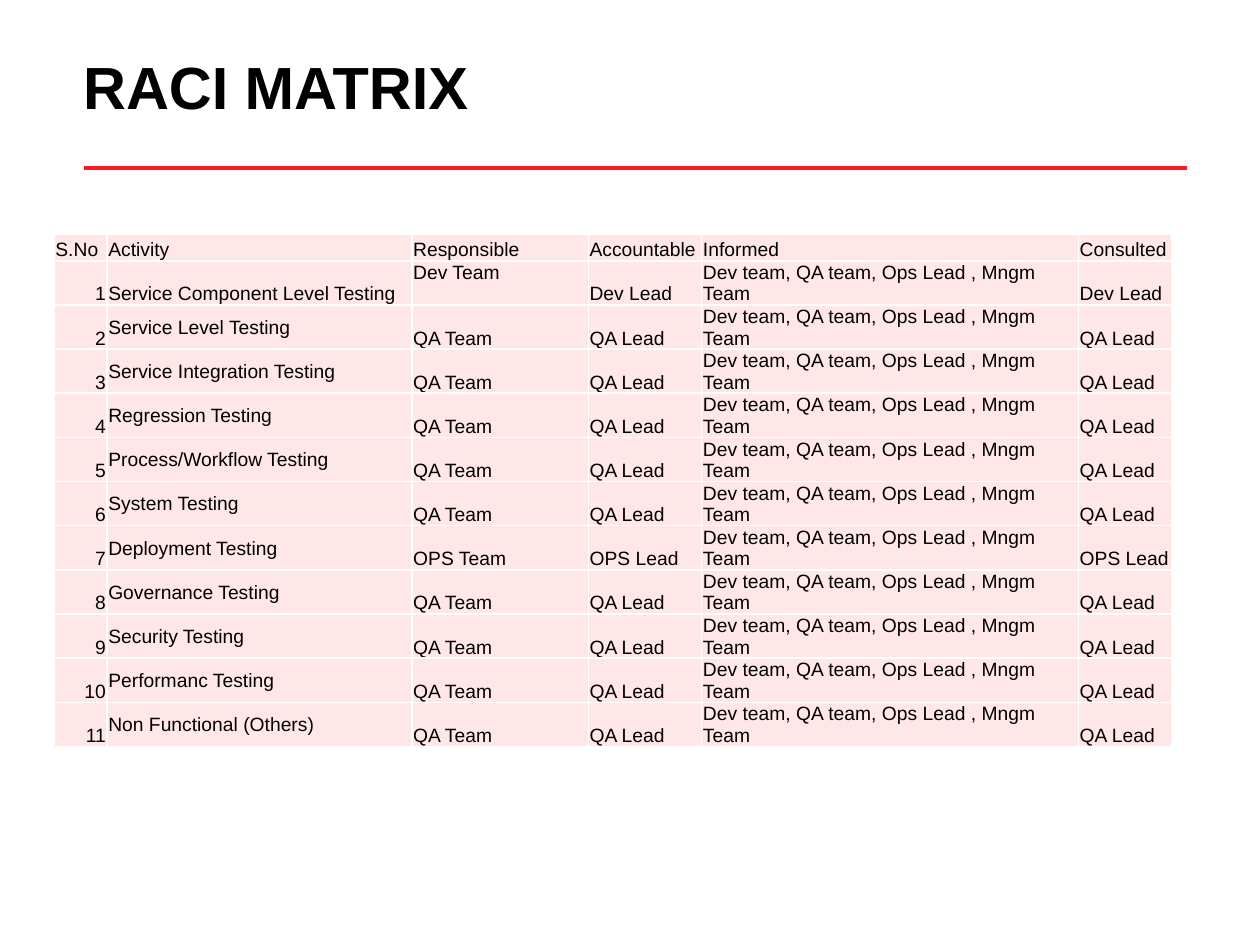
"""Build the RACI matrix slide."""
from lxml.etree import SubElement
from pptx import Presentation
from pptx.dml.color import RGBColor
from pptx.enum.shapes import MSO_CONNECTOR as Connector
from pptx.enum.text import MSO_ANCHOR as Anchor, PP_ALIGN as Align
from pptx.oxml import parse_xml
from pptx.oxml.ns import nsdecls, qn
from pptx.util import Inches, Pt

BLACK = RGBColor(0x00, 0x00, 0x00)
RED = RGBColor(0xFC, 0x1B, 0x23)
PINK = RGBColor(0xFF, 0xE7, 0xE7)
WHITE = RGBColor(0xFF, 0xFF, 0xFF)

TITLE = "RACI MATRIX"
HEADINGS = ("S.No", "Activity", "Responsible", "Accountable", "Informed", "Consulted")
INFORMED = "Dev team, QA team, Ops Lead , Mngm Team"
ACTIVITIES = [
    ("Service Component Level Testing", "Dev"),
    ("Service Level Testing", "QA"),
    ("Service Integration Testing", "QA"),
    ("Regression Testing", "QA"),
    ("Process/Workflow Testing", "QA"),
    ("System Testing", "QA"),
    ("Deployment Testing", "OPS"),
    ("Governance Testing", "QA"),
    ("Security Testing", "QA"),
    ("Performanc Testing", "QA"),
    ("Non Functional (Others)", "QA"),
]
COLUMN_WIDTHS = (0.42, 2.42, 1.4, 0.9, 2.99, 0.74)
ROW_HEIGHT = 0.21
MATRIX_LEFT, MATRIX_TOP = 0.43, 1.86
RULE_LEFT, RULE_RIGHT, RULE_TOP = 0.67, 9.42, 1.33

TITLE_BOX = {"left": Inches(0.56), "top": Inches(0.25),
             "width": Inches(8.86), "height": Inches(0.86)}
TITLE_FONT = {"name": "Arial", "size": Pt(34), "bold": True}
CELL_FONT = {"name": "Arial", "size": Pt(11), "bold": False}
CELL_MARGINS = {"margin_left": Inches(0.01), "margin_right": Inches(0.01),
                "margin_top": Inches(0.01), "margin_bottom": 0}
SPECIAL_ANCHORS = {(1, 2): Anchor.TOP} | {
    (row, 1): Anchor.MIDDLE for row in range(2, len(ACTIVITIES) + 1)}


def apply(target, formats):
    for attribute, value in formats.items():
        setattr(target, attribute, value)


def write(frame, text, font_formats, alignment):
    paragraph = frame.paragraphs[0]
    paragraph.alignment = alignment
    run = paragraph.add_run()
    run.text = text
    apply(run.font, font_formats)
    run.font.color.rgb = BLACK


def add_title(slide):
    title = slide.shapes.title
    apply(title, TITLE_BOX)
    title.text_frame.vertical_anchor = Anchor.MIDDLE
    write(title.text_frame, TITLE, TITLE_FONT, Align.LEFT)


def add_rule(slide):
    rule = slide.shapes.add_connector(
        Connector.STRAIGHT, Inches(RULE_LEFT), Inches(RULE_TOP),
        Inches(RULE_RIGHT), Inches(RULE_TOP))
    rule.line.color.rgb = RED
    rule.line.width = Pt(2.25)
    SubElement(rule._element.spPr, qn("a:effectLst"))


def add_borders(cell):
    properties = cell._tc.get_or_add_tcPr()
    for position, side in enumerate(("lnL", "lnR", "lnT", "lnB")):
        properties.insert(position, parse_xml(
            f'<a:{side} {nsdecls("a")} w="{Pt(1)}"><a:solidFill>'
            f'<a:srgbClr val="{WHITE}"/></a:solidFill></a:{side}>'))


def add_matrix(slide):
    entries = [HEADINGS] + [
        (str(number), activity, f"{team} Team", f"{team} Lead", INFORMED, f"{team} Lead")
        for number, (activity, team) in enumerate(ACTIVITIES, 1)]
    matrix = slide.shapes.add_table(
        len(entries), len(HEADINGS), Inches(MATRIX_LEFT), Inches(MATRIX_TOP),
        Inches(sum(COLUMN_WIDTHS)), Inches(ROW_HEIGHT * len(entries))).table
    apply(matrix, {"first_row": False, "horz_banding": False})
    for column, width in zip(matrix.columns, COLUMN_WIDTHS):
        column.width = Inches(width)
    for row, texts in enumerate(entries):
        matrix.rows[row].height = Inches(ROW_HEIGHT)
        for column, text in enumerate(texts):
            cell = matrix.cell(row, column)
            apply(cell, CELL_MARGINS)
            cell.vertical_anchor = SPECIAL_ANCHORS.get((row, column), Anchor.BOTTOM)
            cell.fill.solid()
            cell.fill.fore_color.rgb = PINK
            add_borders(cell)
            is_number = row > 0 and column == 0
            write(cell.text_frame, text, CELL_FONT, Align.RIGHT if is_number else Align.LEFT)


def main():
    deck = Presentation()
    apply(deck, {"slide_width": Inches(10), "slide_height": Inches(7.5)})
    slide = deck.slides.add_slide(deck.slide_layouts[5])
    add_rule(slide)
    add_title(slide)
    add_matrix(slide)
    deck.save("out.pptx")


if __name__ == "__main__":
    main()
